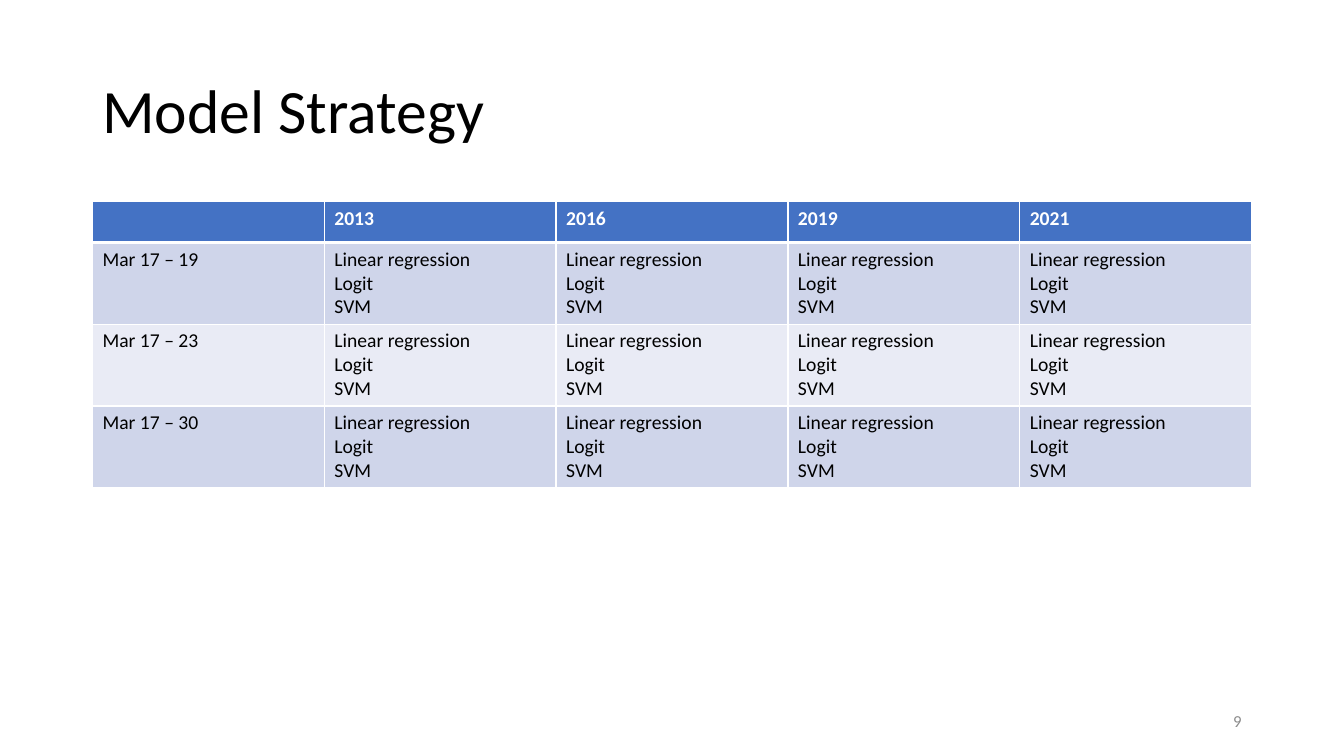
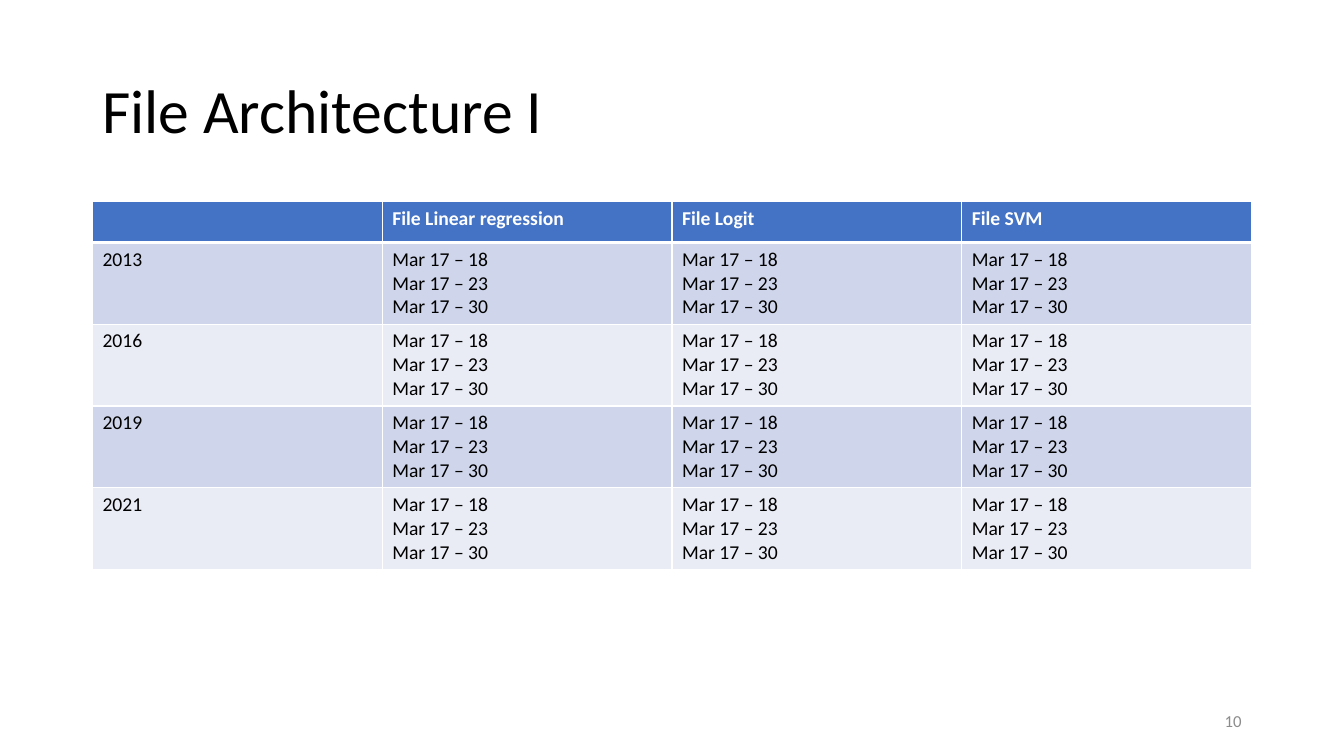
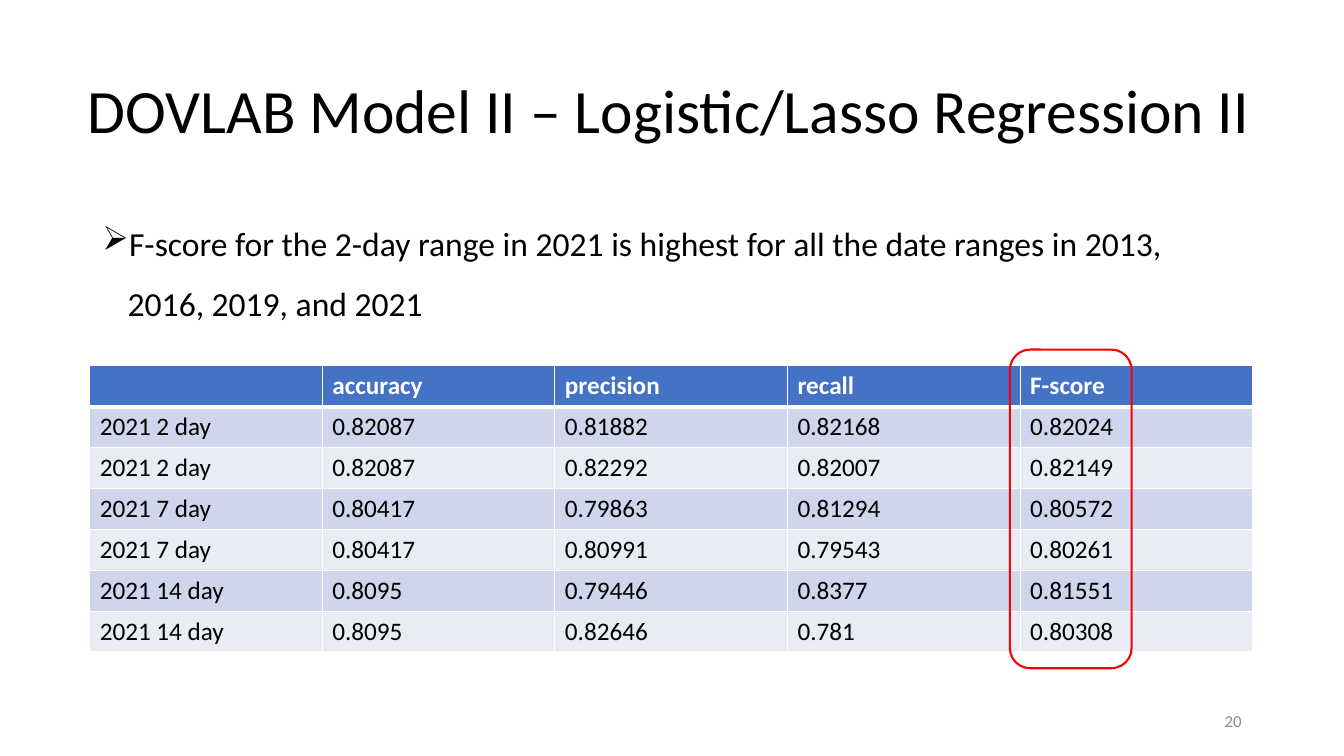
from lxml.etree import SubElement
from pptx import Presentation
from pptx.dml.color import RGBColor
from pptx.enum.shapes import MSO_SHAPE
from pptx.enum.text import MSO_ANCHOR, PP_ALIGN
from pptx.oxml.ns import qn
from pptx.util import Cm, Pt

# Shared look
FONT = "Calibri"
BLACK = RGBColor(0x00, 0x00, 0x00)
WHITE = RGBColor(0xFF, 0xFF, 0xFF)
GREY = RGBColor(0x8C, 0x8C, 0x8C)
RED = RGBColor(0xFF, 0x00, 0x00)
HEADER_BLUE = RGBColor(0x44, 0x72, 0xC4)
BANDS = (RGBColor(0xCF, 0xD5, 0xEA), RGBColor(0xE9, 0xEB, 0xF5))
MARGIN, CONTENT_WIDTH = 2.33, 29.21

# Table contents; a line break starts a new paragraph in a cell
YEARS = ["2013", "2016", "2019", "2021"]
MODELS = ["Linear regression", "Logit", "SVM"]
RANGES = ["Mar 17 – 18", "Mar 17 – 23", "Mar 17 – 30"]

strategy_rows = [["", *YEARS]]
for dates in ["Mar 17 – 19", "Mar 17 – 23", "Mar 17 – 30"]:
    strategy_rows.append([dates] + ["\n".join(MODELS)] * len(YEARS))

file_rows = [[""] + [f"File {model}" for model in MODELS]]
for year in YEARS:
    file_rows.append([year] + ["\n".join(RANGES)] * len(MODELS))

score_rows = [
    ["", "accuracy", "precision", "recall", "F-score"],
    ["2021 2 day", "0.82087", "0.81882", "0.82168", "0.82024"],
    ["2021 2 day", "0.82087", "0.82292", "0.82007", "0.82149"],
    ["2021 7 day", "0.80417", "0.79863", "0.81294", "0.80572"],
    ["2021 7 day", "0.80417", "0.80991", "0.79543", "0.80261"],
    ["2021 14 day", "0.8095", "0.79446", "0.8377", "0.81551"],
    ["2021 14 day", "0.8095", "0.82646", "0.781", "0.80308"],
]

# Title, title left and width, number, rows, table left, top and width,
# body row height, text size
PAGES = [
    ("Model Strategy", MARGIN, CONTENT_WIDTH, "9",
     strategy_rows, MARGIN, 5.08, CONTENT_WIDTH, 2.06, 14),
    ("File Architecture I", MARGIN, CONTENT_WIDTH, "10",
     file_rows, MARGIN, 5.08, CONTENT_WIDTH, 2.06, 14),
    ("DOVLAB Model II – Logistic/Lasso Regression II", 1.96, 29.87, "20",
     score_rows, 2.26, 9.22, 29.31, 1.03, 18),
]


def add_text(page, text, left, top, width, height, size, color, anchor):
    """Add a one-paragraph text box and return the paragraph."""
    box = page.shapes.add_textbox(Cm(left), Cm(top), Cm(width), Cm(height))
    frame = box.text_frame
    frame.word_wrap = True
    frame.vertical_anchor = anchor
    frame.text = text
    para = frame.paragraphs[0]
    para.font.name = FONT
    span = para.runs[0]
    span.font.name, span.font.size, span.font.color.rgb = FONT, Pt(size), color
    return para


def style_cell(cell, row, size):
    """Give a cell its borders, fill and font according to its row."""
    properties = cell._tc.get_or_add_tcPr()
    for side in ("lnL", "lnR", "lnT", "lnB"):
        under_header = (row, side) in ((0, "lnB"), (1, "lnT"))
        border = SubElement(properties, qn(f"a:{side}"),
                            w=str(Pt(3 if under_header else 1)))
        fill = SubElement(border, qn("a:solidFill"))
        SubElement(fill, qn("a:srgbClr"), val=str(WHITE))
    cell.fill.solid()
    cell.fill.fore_color.rgb = BANDS[(row - 1) % 2] if row else HEADER_BLUE
    for para in cell.text_frame.paragraphs:
        for span in para.runs:
            span.font.name, span.font.size = FONT, Pt(size)
            span.font.bold = row == 0
            span.font.color.rgb = BLACK if row else WHITE


deck = Presentation()
deck.slide_width, deck.slide_height = Cm(33.87), Cm(19.05)

# Title, page number and table on every page
for (title, title_left, title_width, number, rows, left, top, width,
     row_height, size) in PAGES:
    page = deck.slides.add_slide(deck.slide_layouts[6])
    para = add_text(page, title, title_left, 1.01, title_width, 3.68, 44,
                    BLACK, MSO_ANCHOR.MIDDLE)
    para.line_spacing = 0.9
    para = add_text(page, number, 23.92, 17.66, 7.62, 1.01, 12,
                    GREY, MSO_ANCHOR.MIDDLE)
    para.alignment = PP_ALIGN.RIGHT

    heights = [1.03] + [row_height] * (len(rows) - 1)
    table = page.shapes.add_table(len(rows), len(rows[0]), Cm(left), Cm(top),
                                  Cm(width), Cm(sum(heights))).table
    for row, texts in enumerate(rows):
        table.rows[row].height = Cm(heights[row])
        for column, text in enumerate(texts):
            cell = table.cell(row, column)
            cell.text_frame.text = text
            style_cell(cell, row, size)

# Finding above the score table, on the last page
para = add_text(page, "F-score for the 2-day range in 2021 is highest for all "
                "the date ranges in 2013, 2016, 2019, and 2021",
                MARGIN, 4.98, CONTENT_WIDTH, 3.25, 24, BLACK, MSO_ANCHOR.TOP)
para.line_spacing = 1.5
properties = para._p.get_or_add_pPr()
properties.set("marL", str(Cm(0.64)))
properties.set("indent", str(Cm(-0.64)))
bullet = properties.makeelement(qn("a:buChar"), {"char": "➢"})
properties.insert(1, bullet)  # between line spacing and default font

# Red frame around the F-scores
highlight = page.shapes.add_shape(MSO_SHAPE.ROUNDED_RECTANGLE, Cm(25.45),
                                  Cm(8.81), Cm(3.07), Cm(8.03))
highlight.shadow.inherit = False
highlight.fill.background()
highlight.line.color.rgb = RED
highlight.line.width = Pt(1.5)

deck.save("out.pptx")
